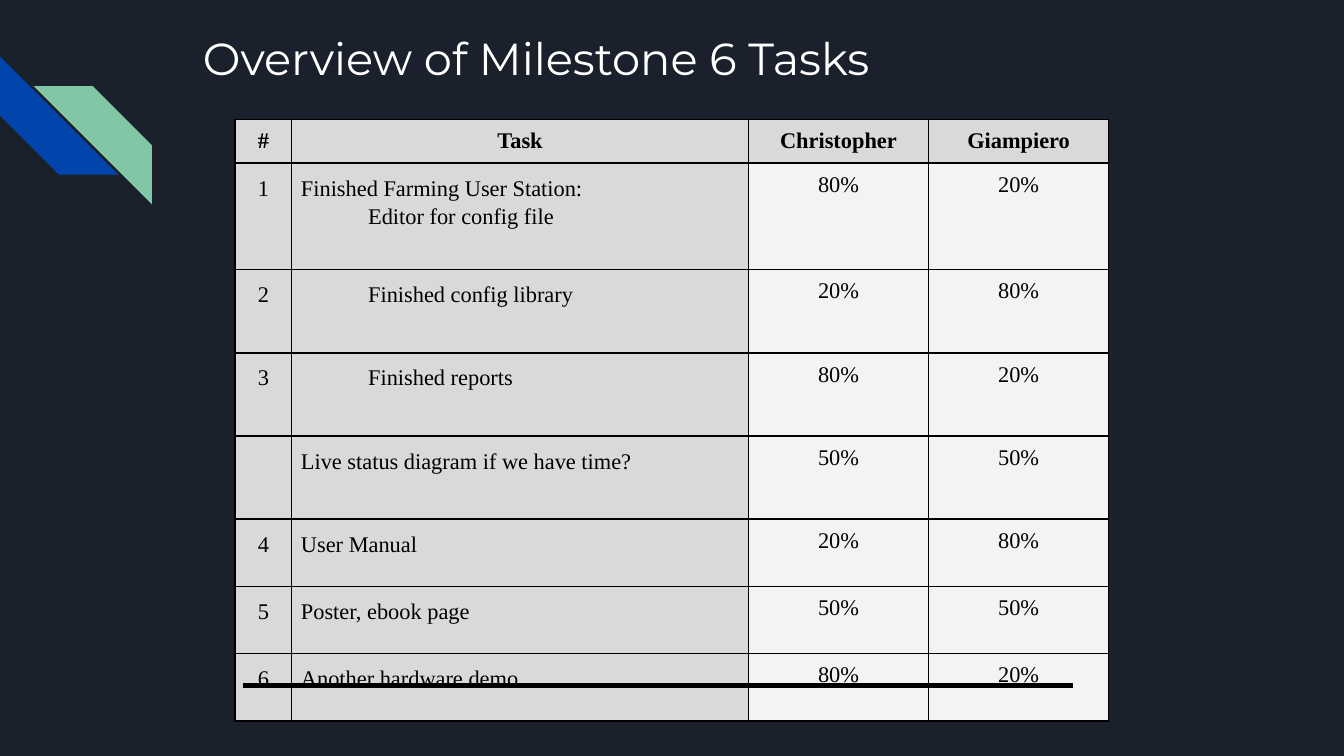
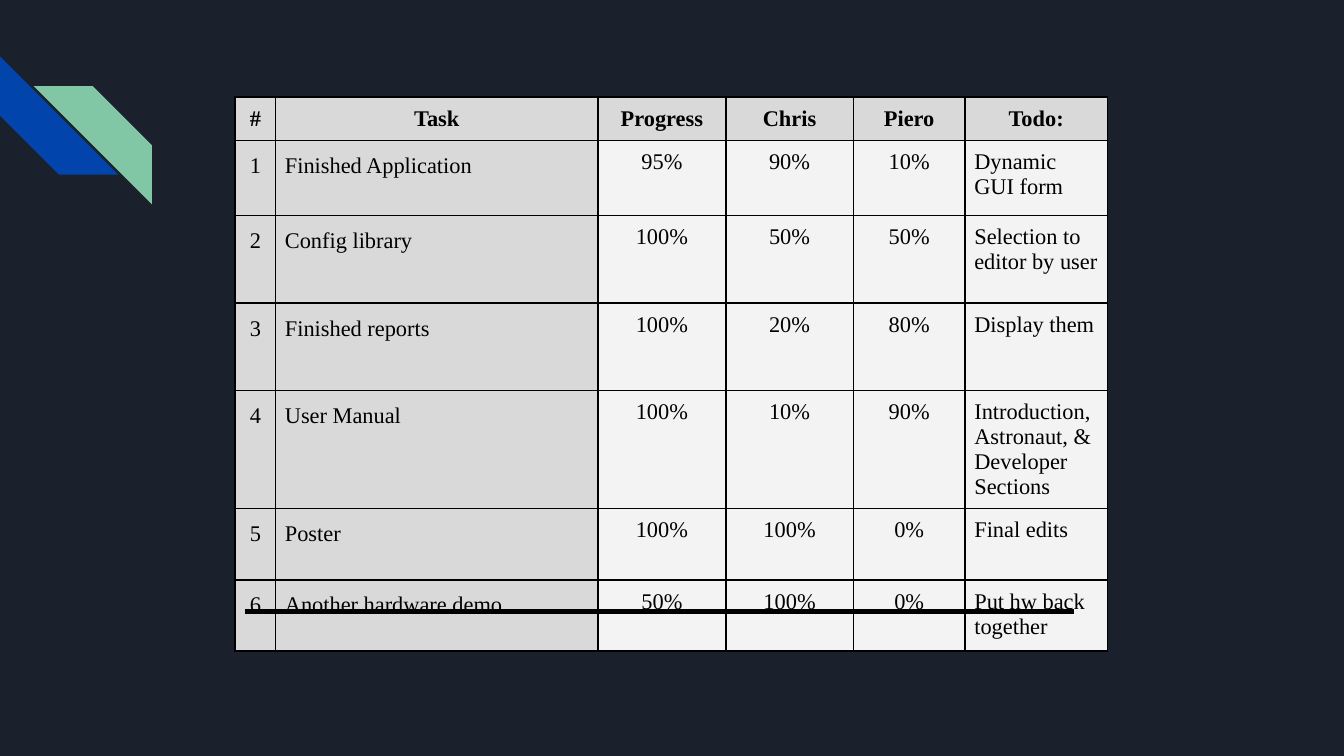
from dataclasses import dataclass

from lxml.etree import SubElement
from pptx import Presentation
from pptx.dml.color import RGBColor
from pptx.enum.shapes import MSO_CONNECTOR, MSO_SHAPE
from pptx.enum.text import MSO_ANCHOR, PP_ALIGN
from pptx.oxml.ns import qn
from pptx.slide import Slide
from pptx.table import _Cell
from pptx.util import Inches, Pt

NAVY = RGBColor(0x1B, 0x21, 0x2C)
BLUE = RGBColor(0x01, 0x45, 0xAC)
GREEN = RGBColor(0x82, 0xC7, 0xA5)
WHITE = RGBColor(0xFF, 0xFF, 0xFF)
BLACK = RGBColor(0x00, 0x00, 0x00)
GREY = RGBColor(0xD9, 0xD9, 0xD9)
PALE = RGBColor(0xF3, 0xF3, 0xF3)

WIDTH = Inches(10)
HEIGHT = WIDTH * 9 // 16

HEAD = {"name": "Montserrat", "size": Pt(24), "bold": False}
BODY = {"name": "Times New Roman", "size": Pt(12), "bold": False}
PAD = Inches(0.07)
MARGINS = {"margin_left": PAD, "margin_right": PAD,
           "margin_top": PAD, "margin_bottom": PAD}
TITLE_BOX = {"left": Inches(1.41), "top": Inches(0.13),
             "width": Inches(7.7), "height": Inches(1)}
ALIGN = {"c": PP_ALIGN.CENTER, "l": PP_ALIGN.LEFT}
LABEL_COLS = 2  # number and task columns
TABLE_LEFT = 1.75
RULE_WIDTH = 6.17


@dataclass(frozen=True)
class Stripe:
    left: float
    top: float
    color: RGBColor
    turn: int = 0
    flip: bool = False


@dataclass(frozen=True)
class Grid:
    """A task table; each letter of aligns sets one body column."""
    top: float
    widths: tuple[float, ...]
    heights: tuple[float, ...]
    aligns: str
    rows: tuple[tuple[str, ...], ...]
    nested: tuple[str, ...] = ()


@dataclass(frozen=True)
class Page:
    grid: Grid
    rule_left: float
    rule_top: float
    title: str = ""


STRIPES = (Stripe(0, 0.42, BLUE, turn=270),
           Stripe(0.25, 0.64, GREEN, flip=True))

PLAN = Grid(
    top=0.89,
    widths=(0.42, 3.4, 1.34, 1.34),
    heights=(0.32, 0.79, 0.62, 0.62, 0.62, 0.5, 0.5, 0.5),
    aligns="clcc",
    rows=(
        ("#", "Task", "Christopher", "Giampiero"),
        ("1", "Finished Farming User Station:\nEditor for config file",
         "80%", "20%"),
        ("2", "Finished config library", "20%", "80%"),
        ("3", "Finished reports", "80%", "20%"),
        ("", "Live status diagram if we have time?", "50%", "50%"),
        ("4", "User Manual", "20%", "80%"),
        ("5", "Poster, ebook page", "50%", "50%"),
        ("6", "Another hardware demo", "80%", "20%"),
    ),
    nested=("Editor for config file", "Finished config library",
            "Finished reports"),
)

STATUS = Grid(
    top=0.72,
    widths=(0.3, 2.4, 0.95, 0.95, 0.83, 1.06),
    heights=(0.32, 0.56, 0.65, 0.65, 0.88, 0.53, 0.53),
    aligns="clcccl",
    rows=(
        ("#", "Task", "Progress", "Chris", "Piero", "Todo:"),
        ("1", "Finished Application", "95%", "90%", "10%",
         "Dynamic GUI form"),
        ("2", "Config library", "100%", "50%", "50%",
         "Selection to editor by user"),
        ("3", "Finished reports", "100%", "20%", "80%", "Display them"),
        ("4", "User Manual", "100%", "10%", "90%",
         "Introduction,\nAstronaut, & Developer Sections"),
        ("5", "Poster", "100%", "100%", "0%", "Final edits"),
        ("6", "Another hardware demo", "50%", "100%", "0%",
         "Put hw back together"),
    ),
)

PAGES = (Page(PLAN, 1.81, 5.1, "Overview of Milestone 6 Tasks"),
         Page(STATUS, 1.82, 4.55))


def apply(target: object, values: dict) -> None:
    for name, value in values.items():
        setattr(target, name, value)


def add_stripe(slide: Slide, stripe: Stripe) -> None:
    shape = slide.shapes.add_shape(
        MSO_SHAPE.DIAGONAL_STRIPE, Inches(stripe.left), Inches(stripe.top),
        Inches(0.88), Inches(0.88))
    shape.adjustments[0] = 0.5
    shape.rotation = stripe.turn
    shape.shadow.inherit = False
    shape.fill.solid()
    shape.fill.fore_color.rgb = stripe.color
    shape.line.fill.background()
    if stripe.flip:
        shape._element.spPr.find(qn("a:xfrm")).set("flipH", "1")


def add_title(slide: Slide, text: str) -> None:
    title = slide.shapes.title
    apply(title, TITLE_BOX)
    frame = title.text_frame
    frame.text = text
    frame.vertical_anchor = MSO_ANCHOR.TOP
    frame.margin_top = frame.margin_left = Inches(0.1)
    para = frame.paragraphs[0]
    para.alignment = PP_ALIGN.LEFT
    for run in para.runs:
        apply(run.font, HEAD)
        run.font.color.rgb = WHITE


def add_borders(cell: _Cell) -> None:
    props = cell._tc.get_or_add_tcPr()
    for side in ("lnL", "lnR", "lnT", "lnB"):
        line = SubElement(props, qn(f"a:{side}"), w=str(Pt(1)))
        fill = SubElement(line, qn("a:solidFill"))
        SubElement(fill, qn("a:srgbClr"), val=str(BLACK))


def fill_cell(cell: _Cell, grid: Grid, row: int, col: int) -> None:
    header = row == 0
    label = col < LABEL_COLS
    apply(cell, MARGINS)
    add_borders(cell)
    cell.fill.solid()
    cell.fill.fore_color.rgb = GREY if header or label else PALE
    cell.text_frame.text = grid.rows[row][col]
    for para in cell.text_frame.paragraphs:
        para.alignment = ALIGN["c" if header else grid.aligns[col]]
        if label and not header:
            para.line_spacing = 1.15
        if para.text in grid.nested:
            para._p.get_or_add_pPr().set("marL", str(Inches(0.5)))
        for run in para.runs:
            apply(run.font, BODY | {"bold": header})
            run.font.color.rgb = BLACK


def add_grid(slide: Slide, grid: Grid) -> None:
    table = slide.shapes.add_table(
        len(grid.heights), len(grid.widths),
        Inches(TABLE_LEFT), Inches(grid.top),
        Inches(sum(grid.widths)), Inches(sum(grid.heights))).table
    apply(table, {"first_row": False, "horz_banding": False})
    for col, width in enumerate(grid.widths):
        table.columns[col].width = Inches(width)
    for row, height in enumerate(grid.heights):
        table.rows[row].height = Inches(height)
        for col in range(len(grid.widths)):
            fill_cell(table.cell(row, col), grid, row, col)


def add_rule(slide: Slide, left: float, top: float) -> None:
    rule = slide.shapes.add_connector(
        MSO_CONNECTOR.STRAIGHT, Inches(left), Inches(top),
        Inches(left + RULE_WIDTH), Inches(top))
    rule.line.color.rgb = BLACK
    rule.line.width = Pt(3)
    SubElement(rule._element.spPr, qn("a:effectLst"))


def main() -> None:
    deck = Presentation()
    deck.slide_width, deck.slide_height = WIDTH, HEIGHT
    back = deck.slide_master.background.fill
    back.solid()
    back.fore_color.rgb = NAVY
    titled, blank = deck.slide_layouts[5], deck.slide_layouts[6]
    for page in PAGES:
        slide = deck.slides.add_slide(titled if page.title else blank)
        for stripe in STRIPES:
            add_stripe(slide, stripe)
        if page.title:
            add_title(slide, page.title)
        add_grid(slide, page.grid)
        add_rule(slide, page.rule_left, page.rule_top)
    deck.save("out.pptx")


if __name__ == "__main__":
    main()
